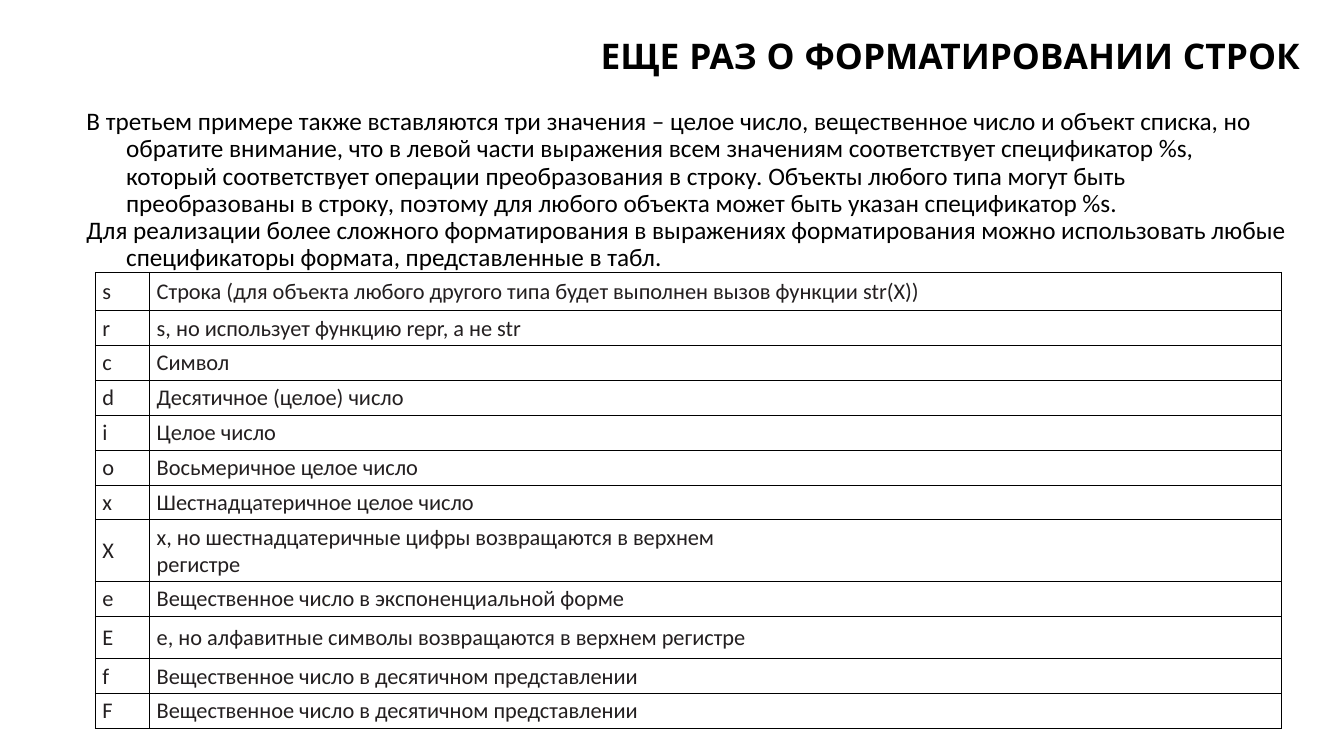
import pptx
import pptx.dml.color
import pptx.enum.text
import pptx.oxml
import pptx.oxml.ns
import pptx.util
from pptx.util import Cm

BLACK = pptx.dml.color.RGBColor(0x00, 0x00, 0x00)
INK = pptx.dml.color.RGBColor(0x23, 0x1F, 0x20)
MIDDLE = pptx.enum.text.MSO_ANCHOR.MIDDLE

TITLE = "ЕЩЕ РАЗ О ФОРМАТИРОВАНИИ СТРОК"
BODY = [
    "В третьем примере также вставляются три значения – целое число, "
    "вещественное число и объект списка, но обратите внимание, что в левой "
    "части выражения всем значениям соответствует спецификатор %s, который "
    "соответствует операции преобразования в строку. Объекты любого типа "
    "могут быть преобразованы в строку, поэтому для любого объекта может "
    "быть указан спецификатор %s.",
    "Для реализации более сложного форматирования в выражениях "
    "форматирования можно использовать любые спецификаторы формата, "
    "представленные в табл.",
]
CODES = [
    ("s", "Строка (для объекта любого другого типа будет выполнен вызов функции str(X))"),
    ("r", "s, но использует функцию repr, а не str"),
    ("c", "Символ"),
    ("d", "Десятичное (целое) число"),
    ("i", "Целое число"),
    ("o", "Восьмеричное целое число"),
    ("x", "Шестнадцатеричное целое число"),
    ("X", "x, но шестнадцатеричные цифры возвращаются в верхнем\nрегистре"),
    ("e", "Вещественное число в экспоненциальной форме"),
    ("E", "e, но алфавитные символы возвращаются в верхнем регистре"),
    ("f", "Вещественное число в десятичном представлении"),
    ("F", "Вещественное число в десятичном представлении"),
]
ROW = 0.87
TALL = {"s": 0.97, "X": 1.55, "E": 1.07}


def add_run(para, text, size, color, font="Calibri", bold=False):
    run = para.add_run()
    run.text = text
    run.font.size = pptx.util.Pt(size)
    run.font.name = font
    run.font.bold = bold
    run.font.color.rgb = color


def add_box(slide, left, top, width, height):
    box = slide.shapes.add_textbox(Cm(left), Cm(top), Cm(width), Cm(height))
    box.text_frame.word_wrap = True
    return box.text_frame


def add_title(slide):
    frame = add_box(slide, 3.1, 0.41, 29.92, 2.13)
    frame.vertical_anchor = MIDDLE
    para = frame.paragraphs[0]
    para.alignment = pptx.enum.text.PP_ALIGN.RIGHT
    para.line_spacing = 0.9
    add_run(para, TITLE, 25.2, BLACK, "Quicksand", True)


def add_body(slide):
    frame = add_box(slide, 1.93, 2.62, 30.81, 16.59)
    for i, text in enumerate(BODY):
        para = frame.add_paragraph() if i else frame.paragraphs[0]
        para.line_spacing = 0.9
        # Hanging indent
        props = para._p.get_or_add_pPr()
        props.set("marL", str(Cm(1)))
        props.set("indent", str(Cm(-1)))
        add_run(para, text, 18, BLACK)


def add_lines(cell):
    props = cell._tc.get_or_add_tcPr()
    for i, side in enumerate(("lnL", "lnR", "lnT", "lnB")):
        line = pptx.oxml.parse_xml(
            f'<a:{side} {pptx.oxml.ns.nsdecls("a")} w="6350"><a:solidFill>'
            f'<a:srgbClr val="{BLACK}"/></a:solidFill></a:{side}>')
        props.insert(i, line)


def fill_cell(cell, text):
    cell.fill.background()
    cell.vertical_anchor = MIDDLE
    cell.margin_left = cell.margin_right = Cm(0.18)
    cell.margin_top = cell.margin_bottom = Cm(0.1)
    para = cell.text_frame.paragraphs[0]
    for i, part in enumerate(text.split("\n")):
        if i:
            para.add_line_break()
        add_run(para, part, 16, INK)
    add_lines(cell)


def add_grid(slide):
    highs = [TALL.get(code, ROW) for code, _ in CODES]
    grid = slide.shapes.add_table(
        len(CODES), 2, Cm(2.4), Cm(6.86), Cm(29.9), Cm(sum(highs))).table
    grid.first_row = grid.horz_banding = False
    for col, width in zip(grid.columns, (1.37, 28.53)):
        col.width = Cm(width)
    for r, (pair, high) in enumerate(zip(CODES, highs)):
        grid.rows[r].height = Cm(high)
        for c, text in enumerate(pair):
            fill_cell(grid.cell(r, c), text)


def main():
    deck = pptx.Presentation()
    deck.slide_width = Cm(33.87)
    deck.slide_height = Cm(19.05)
    slide = deck.slides.add_slide(deck.slide_layouts[6])
    add_title(slide)
    add_body(slide)
    add_grid(slide)
    deck.save("out.pptx")


if __name__ == "__main__":
    main()
